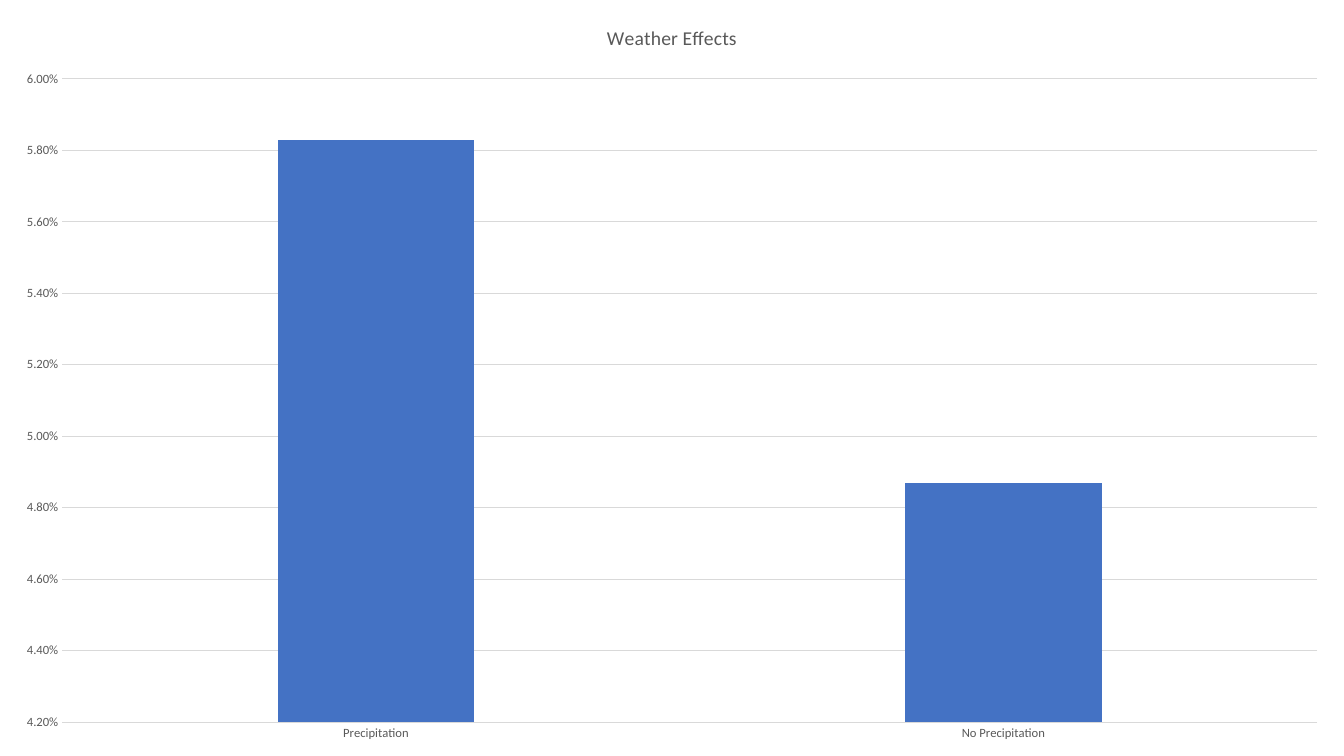
from pptx import Presentation
from pptx import util as u
from pptx.chart.data import CategoryChartData
from pptx.dml.color import RGBColor
from pptx.enum import chart as ch

TITLE = "Weather Effects"
EFFECTS = {"Precipitation": 0.0583, "No Precipitation": 0.0487}
SCALE = {"low": 0.042, "high": 0.06, "step": 0.002, "format": "0.00%"}
SLIDE = (13.33, 7.5)
THEME = {
    "font": "Calibri",
    "text": RGBColor.from_string("595959"),
    "rule": RGBColor.from_string("D9D9D9"),
    "bar": RGBColor.from_string("4472C4"),
    "title_size": 14,
    "label_size": 9,
    "rule_width": 0.75,
}


def style_font(font, size):
    font.name = THEME["font"]
    font.size = u.Pt(size)
    font.bold = False
    font.color.rgb = THEME["text"]


def style_rule(line):
    line.color.rgb = THEME["rule"]
    line.width = u.Pt(THEME["rule_width"])


def add_weather_chart(slide, width, height):
    effects = CategoryChartData(number_format=SCALE["format"])
    effects.categories = list(EFFECTS)
    effects.add_series("Series 1", list(EFFECTS.values()))
    weather = slide.shapes.add_chart(
        ch.XL_CHART_TYPE.COLUMN_CLUSTERED, 0, 0, width, height, effects
    ).chart
    style_font(weather.font, THEME["label_size"])
    weather.has_legend = False

    weather.has_title = True
    heading = weather.chart_title.text_frame
    heading.text = TITLE
    style_font(heading.paragraphs[0].font, THEME["title_size"])
    weather.chart_title.include_in_layout = False

    bars = weather.plots[0]
    bars.vary_by_categories = False
    bars.gap_width = 219
    bars.overlap = -27
    fill = bars.series[0].format.fill
    fill.solid()
    fill.fore_color.rgb = THEME["bar"]

    conditions, rates = weather.category_axis, weather.value_axis
    for axis in (conditions, rates):
        axis.major_tick_mark = ch.XL_TICK_MARK.NONE
        axis.minor_tick_mark = ch.XL_TICK_MARK.NONE
        style_font(axis.tick_labels.font, THEME["label_size"])
    style_rule(conditions.format.line)

    rates.minimum_scale = SCALE["low"]
    rates.maximum_scale = SCALE["high"]
    rates.major_unit = SCALE["step"]
    rates.tick_labels.number_format = SCALE["format"]
    rates.tick_labels.number_format_is_linked = False
    rates.format.line.fill.background()
    rates.has_major_gridlines = True
    style_rule(rates.major_gridlines.format.line)


def main():
    deck = Presentation()
    deck.slide_width, deck.slide_height = map(u.Inches, SLIDE)
    slide = deck.slides.add_slide(deck.slide_layouts[6])
    add_weather_chart(slide, deck.slide_width, deck.slide_height)
    deck.save("out.pptx")


if __name__ == "__main__":
    main()
